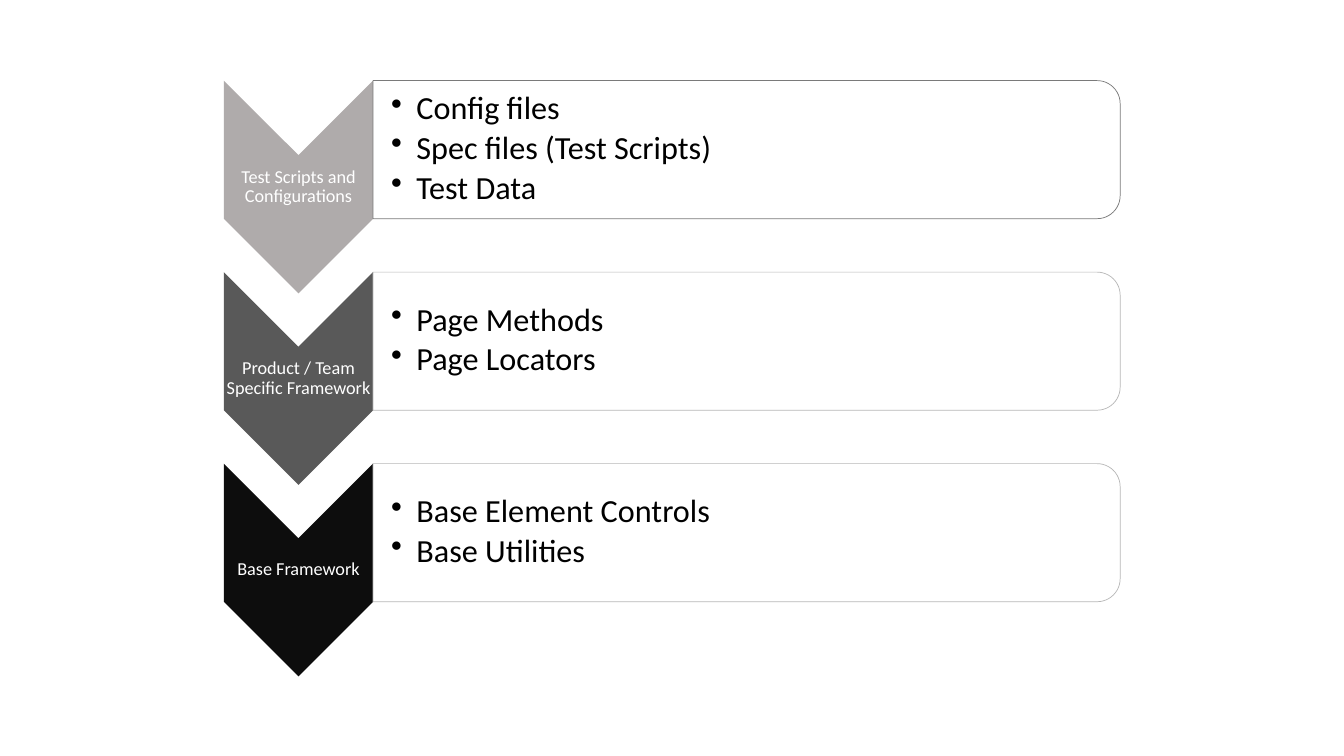
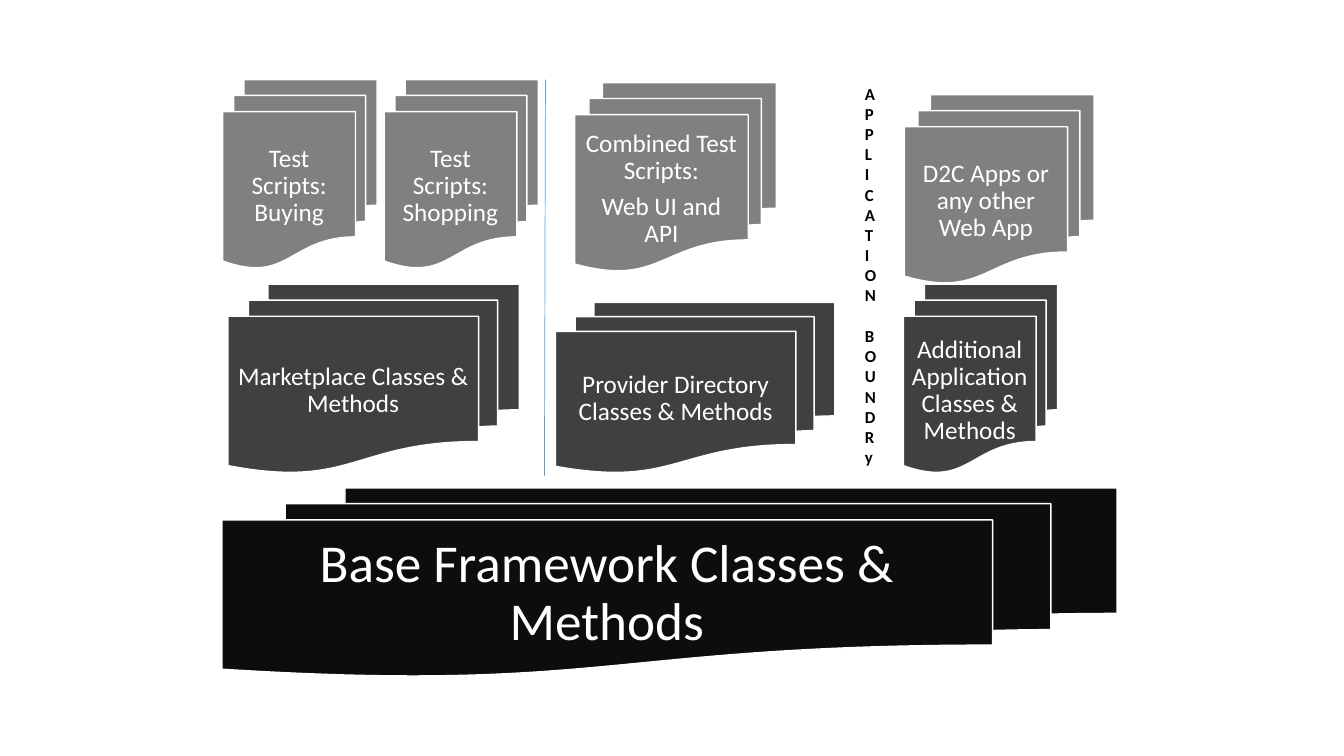
"""Builds two slides on the layers of a test framework."""
from dataclasses import dataclass

from lxml import etree
from pptx import Presentation
from pptx.dml.color import RGBColor
from pptx.enum import shapes, text
from pptx.oxml.ns import qn
from pptx.util import Inches, Pt


@dataclass(frozen=True)
class Theme:
    """Colours, font and type sizes of the deck."""
    font: str = "Calibri"
    white: str = "FFFFFF"
    black: str = "000000"
    base: str = "0D0D0D"
    classes: str = "404040"
    scripts: str = "808080"
    chevrons: tuple = ("AFABAB", "595959", "0D0D0D")
    outlines: tuple = ("7A7A7A", "B7B7B7", "B7B7B7")
    divider: str = "5B9BD5"
    boundary_size: int = 12
    label_size: int = 13
    stack_size: int = 18
    bullet_size: int = 23
    base_size: int = 38


THEME = Theme()
MULTIDOCUMENT = shapes.MSO_SHAPE.FLOWCHART_MULTIDOCUMENT

LAYERS = [
    ("Test Scripts and Configurations",
     ["Config files", "Spec files (Test Scripts)", "Test Data"]),
    ("Product / Team Specific Framework", ["Page Methods", "Page Locators"]),
    ("Base Framework", ["Base Element Controls", "Base Utilities"]),
]

# left, top, width, height, fill, paragraphs
STACKS = [
    (2.26, 2.82, 2.89, 1.87, THEME.classes, ["Marketplace Classes & Methods"]),
    (2.21, 0.79, 1.53, 1.87, THEME.scripts, ["Test Scripts: Buying"]),
    (3.81, 0.79, 1.53, 1.87, THEME.scripts, ["Test Scripts: Shopping"]),
    (5.51, 3.0, 2.77, 1.69, THEME.classes,
     ["Provider Directory Classes & Methods"]),
    (5.7, 0.82, 2.0, 1.87, THEME.scripts,
     ["Combined Test Scripts:", "Web UI and API"]),
    (8.97, 0.94, 1.88, 1.87, THEME.scripts, ["D2C Apps or any other Web App"]),
    (8.96, 2.82, 1.53, 1.87, THEME.classes,
     ["Additional Application Classes & Methods"]),
]


def rgb(code):
    """Return the colour for a hex code."""
    return RGBColor.from_string(code)


def add_figure(slide, kind, left, top, width, height, fill, line=None,
               line_width=1, turned=False):
    """Add a filled shape; a turned one is rotated by 90 degrees in its area."""
    if turned:
        left, top = left + (width - height) / 2, top + (height - width) / 2
        width, height = height, width
    figure = slide.shapes.add_shape(
        kind, Inches(left), Inches(top), Inches(width), Inches(height))
    figure.rotation = 90 if turned else 0
    figure.shadow.inherit = False
    figure.fill.solid()
    figure.fill.fore_color.rgb = rgb(fill)
    if line:
        figure.line.color.rgb = rgb(line)
        figure.line.width = Pt(line_width)
    else:
        figure.line.fill.background()
    return figure


def add_text(slide, left, top, width, height, lines, size, color,
             insets=None, bold=None):
    """Add a wrapped text box and return its text frame."""
    box = slide.shapes.add_textbox(
        Inches(left), Inches(top), Inches(width), Inches(height))
    frame = box.text_frame
    frame.word_wrap = True
    if insets:
        frame.margin_left = Inches(insets[0])
        frame.margin_top = frame.margin_right = Inches(insets[1])
        frame.margin_bottom = Inches(insets[1])
    frame.text = "\n".join(lines)
    for para in frame.paragraphs:
        for span in para.runs:
            span.font.name = THEME.font
            span.font.size = Pt(size)
            span.font.bold = bold
            span.font.color.rgb = rgb(color)
    return frame


def space_lines(frame, after, align=None):
    """Centre the text vertically, with tight lines and a gap after each."""
    frame.vertical_anchor = text.MSO_ANCHOR.MIDDLE
    for para in frame.paragraphs:
        para.alignment = align
        para.line_spacing = 0.9
        para.space_after = Pt(after)


def add_caption(slide, left, top, width, height, lines, size, inset):
    """Add white centred text."""
    frame = add_text(slide, left, top, width, height, lines, size,
                     THEME.white, (inset, inset))
    space_lines(frame, size * 0.35, text.PP_ALIGN.CENTER)


def add_bullets(frame):
    """Give every paragraph a hanging bullet."""
    for para in frame.paragraphs:
        para.level = 1
        props = para._p.get_or_add_pPr()
        props.set("marL", str(Inches(0.25)))
        props.set("indent", str(Inches(-0.25)))
        etree.SubElement(props, qn("a:buChar")).set("char", "•")


def add_layer(slide, top, label, items, fill, outline):
    """Add a downward chevron and the bullet panel beside it."""
    left, width, depth = 2.22, 1.48, 0.74
    add_figure(slide, shapes.MSO_SHAPE.CHEVRON, left, top, width, 2.11, fill,
               turned=True)
    add_caption(slide, left, top + depth, width, 0.63, [label],
                THEME.label_size, 0.01)
    panel = add_figure(slide, shapes.MSO_SHAPE.ROUND_2_SAME_RECTANGLE,
                       left + width, top, 7.41, 1.37, THEME.white, outline,
                       0.5, turned=True)
    color = panel.fill._xPr.find(qn("a:solidFill"))[0]
    etree.SubElement(color, qn("a:alpha")).set("val", "90000")
    frame = add_text(slide, left + width, top + 0.06, 7.34, 1.24, items,
                     THEME.bullet_size, THEME.black, (0.18, 0.02))
    space_lines(frame, THEME.bullet_size * 0.15)
    add_bullets(frame)


def add_stack(slide, left, top, width, height, fill, lines,
              size=THEME.stack_size, inset=0.07):
    """Add a stack of documents with text on its front sheet."""
    add_figure(slide, MULTIDOCUMENT, left, top, width, height, fill,
               THEME.white)
    add_caption(slide, left, top + height * 0.17, width * 0.86, height * 0.79,
                lines, size, inset)


def add_divider(slide):
    """Add the thin line between two groups of stacks."""
    divider = slide.shapes.add_connector(
        shapes.MSO_CONNECTOR.STRAIGHT,
        Inches(5.41), Inches(0.79), Inches(5.4), Inches(4.72))
    divider.line.color.rgb = rgb(THEME.divider)
    divider.line.width = Pt(0.5)
    etree.SubElement(divider._element.spPr, qn("a:effectLst"))


def add_boundary(slide):
    """Add the boundary words, one letter a line."""
    first, second = "APPLICATION", "BOUNDRy"
    frame = add_text(slide, 8.48, 0.78, 0.26, 3.94, first + second,
                     THEME.boundary_size, THEME.black, bold=True)
    frame.paragraphs[len(first)].space_before = Pt(THEME.boundary_size * 1.22)


def build_layers(slide):
    """Fill the slide that lists the three layers."""
    rows = zip(LAYERS, THEME.chevrons, THEME.outlines)
    for row, ((label, items), fill, outline) in enumerate(rows):
        add_layer(slide, 0.8 + 1.9 * row, label, items, fill, outline)


def build_architecture(slide):
    """Fill the slide that shows the stacks on their base."""
    add_stack(slide, 2.2, 4.84, 8.88, 1.87, THEME.base,
              ["Base Framework Classes & Methods"], THEME.base_size, 0.16)
    for stack in STACKS:
        add_stack(slide, *stack)
    add_divider(slide)
    add_boundary(slide)


def main():
    """Build and save the deck."""
    deck = Presentation()
    deck.slide_width, deck.slide_height = Inches(13.33), Inches(7.5)
    for build in (build_layers, build_architecture):
        build(deck.slides.add_slide(deck.slide_layouts[6]))
    deck.save("out.pptx")


main()
